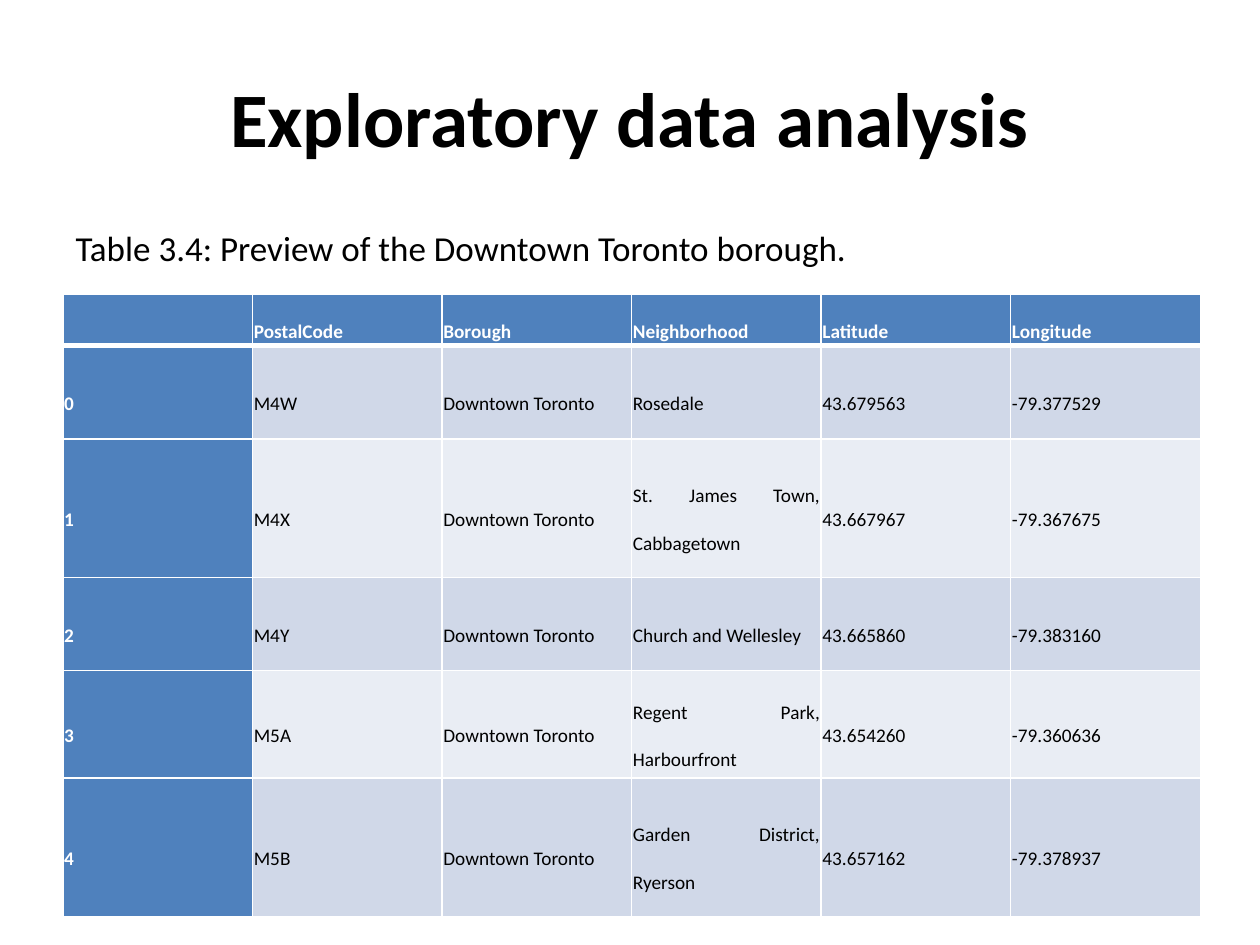
from lxml.etree import SubElement
from pptx import Presentation
from pptx.dml.color import RGBColor
from pptx.enum.text import MSO_ANCHOR, PP_ALIGN
from pptx.oxml.ns import qn
from pptx.util import Pt

HUES = {"ink": "000000", "white": "FFFFFF", "blue": "4F81BD",
        "odd": "D0D8E8", "even": "E9EDF4"}
TOWN = "Downtown Toronto"
ROWS = [
    ["", "PostalCode", "Borough", "Neighborhood", "Latitude", "Longitude"],
    ["0", "M4W", TOWN, "Rosedale", "43.679563", "-79.377529"],
    ["1", "M4X", TOWN, "St. James Town, Cabbagetown", "43.667967", "-79.367675"],
    ["2", "M4Y", TOWN, "Church and Wellesley", "43.665860", "-79.383160"],
    ["3", "M5A", TOWN, "Regent Park, Harbourfront", "43.654260", "-79.360636"],
    ["4", "M5B", TOWN, "Garden District, Ryerson", "43.657162", "-79.378937"],
]
HIGHS = [29.5, 53.3, 79.2, 53.3, 61.2, 79.2]


def write(frame, text, size=11, hue="ink", bold=False, align=None, space=None):
    """Put one formatted paragraph in a text frame."""
    para = frame.paragraphs[0]
    para.alignment = align
    para.line_spacing = space
    if text:
        run = para.add_run()
        run.text = text
        font = run.font
        font.name, font.size, font.bold = "Calibri", Pt(size), bold
        font.color.rgb = RGBColor.from_string(HUES[hue])
    return para


def edge(cell, side, width):
    """Draw a white border on one side of a cell."""
    line = SubElement(cell._tc.get_or_add_tcPr(), qn("a:ln" + side),
                      w=str(Pt(width)))
    fill = SubElement(line, qn("a:solidFill"))
    SubElement(fill, qn("a:srgbClr"), val=HUES["white"])


class Deck:
    """Hold the file, its style and the current slide."""

    def __init__(self):
        """Start a file with one title and content slide."""
        self.file = Presentation()
        self.file.slide_width, self.file.slide_height = Pt(720), Pt(540)
        self.slide = self.file.slides.add_slide(self.file.slide_layouts[1])

    def place(self, shape, left, top, width, height):
        """Move and size a shape."""
        shape.left, shape.top = Pt(left), Pt(top)
        shape.width, shape.height = Pt(width), Pt(height)

    def title(self, text):
        """Fill the title placeholder."""
        shape = self.slide.shapes.title
        self.place(shape, 36, 21.6, 648, 90)
        shape.text_frame.vertical_anchor = MSO_ANCHOR.MIDDLE
        write(shape.text_frame, text, size=44, bold=True, align=PP_ALIGN.CENTER)

    def body(self, text):
        """Fill the body placeholder without a bullet."""
        shape = self.slide.placeholders[1]
        self.place(shape, 36, 126, 648, 356.4)
        para = write(shape.text_frame, text, size=20)
        props = para._p.get_or_add_pPr()
        props.set("marL", "0")
        props.set("indent", "0")
        SubElement(props, qn("a:buNone"))

    def cell(self, cell, text, row, col):
        """Style and fill one cell by its place in the grid."""
        head = row == 0 or col == 0
        top, low = (3 if row == 1 else 1), (3 if row == 0 else 1)
        for side, width in zip("LRTB", (1, 1, top, low)):
            edge(cell, side, width)
        cell.fill.solid()
        hue = "blue" if head else "odd" if row % 2 else "even"
        cell.fill.fore_color.rgb = RGBColor.from_string(HUES[hue])
        cell.margin_left = cell.margin_right = Pt(0.72)
        cell.margin_top = cell.margin_bottom = Pt(0.72)
        cell.vertical_anchor = MSO_ANCHOR.MIDDLE
        write(cell.text_frame, text, hue="white" if head else "ink",
              bold=head, align=PP_ALIGN.JUSTIFY, space=2.0)

    def table(self, rows, highs, left, top, width):
        """Add a table with equal columns and given row heights."""
        count = len(rows[0])
        grid = self.slide.shapes.add_table(
            len(rows), count, Pt(left), Pt(top), Pt(width), Pt(sum(highs))).table
        grid.first_col = True
        for col in grid.columns:
            col.width = Pt(width / count)
        for r, (texts, high) in enumerate(zip(rows, highs)):
            grid.rows[r].height = Pt(high)
            for c, text in enumerate(texts):
                self.cell(grid.cell(r, c), text, r, c)


def main():
    """Build the slide and save it."""
    deck = Deck()
    deck.title("Exploratory data analysis")
    deck.body("Table 3.4: Preview of the Downtown Toronto borough.")
    deck.table(ROWS, HIGHS, 36, 168, 650)
    deck.file.save("out.pptx")


main()
